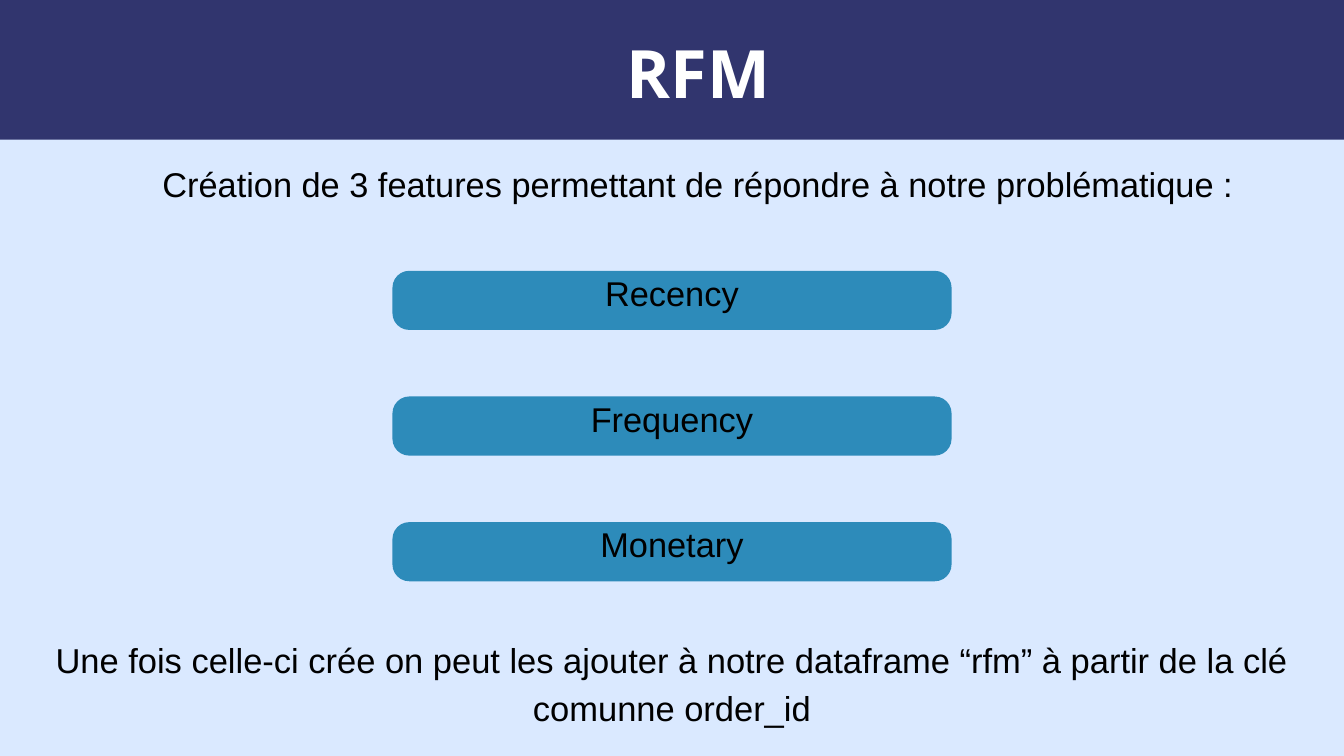
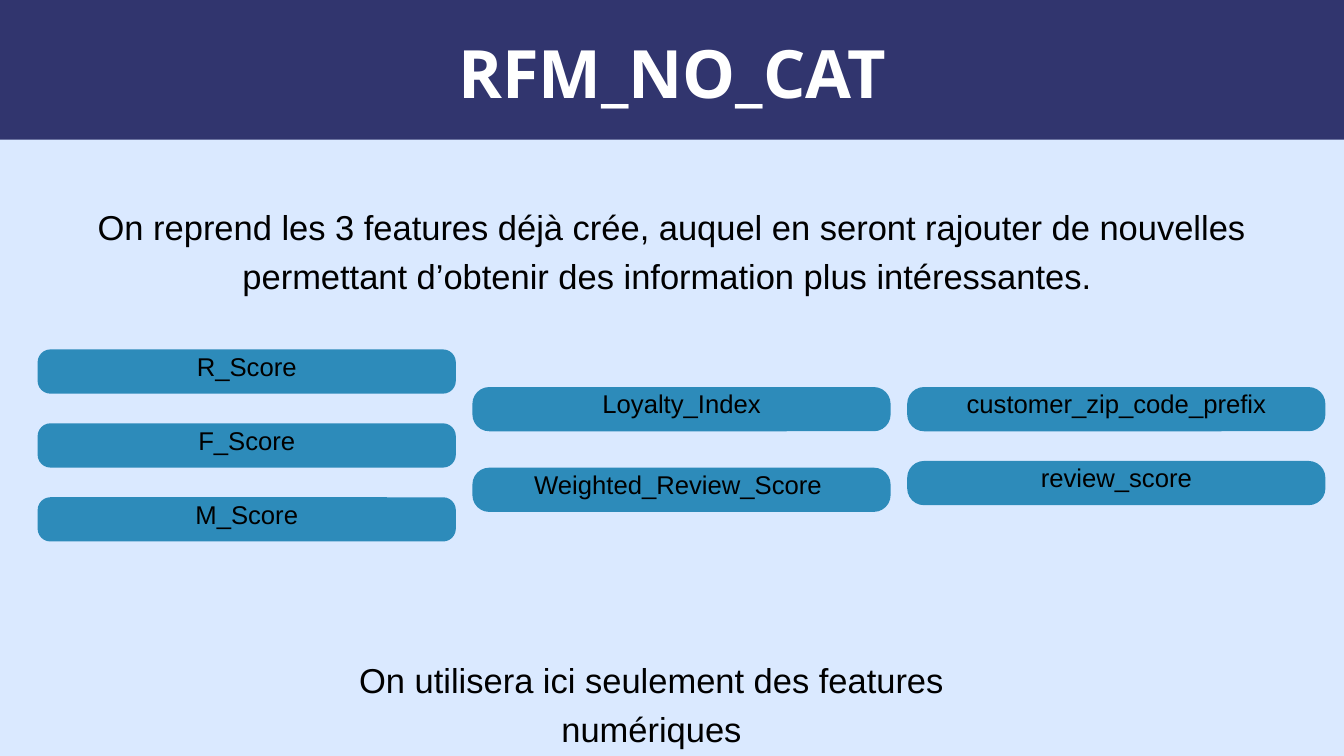
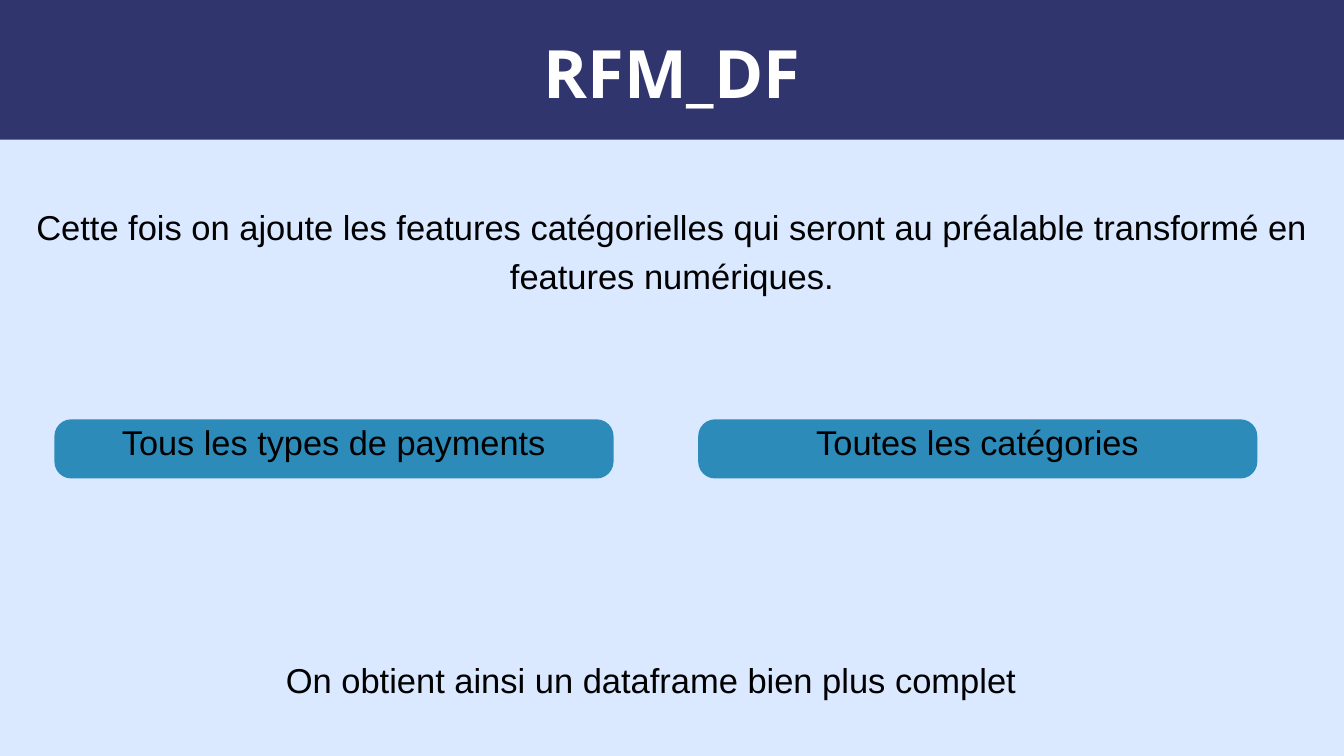
"""Build three slides on the RFM features, each with a title band, texts and pills."""
import pptx
import pptx.util
import pptx.dml.color
import pptx.enum.shapes
import pptx.enum.text

RGB = pptx.dml.color.RGBColor
NAVY = RGB(0x31, 0x35, 0x6E)
PALE = RGB(0xDA, 0xE9, 0xFF)
BLUE = RGB(0x2D, 0x8B, 0xBA)
WHITE = RGB(0xFF, 0xFF, 0xFF)
BLACK = RGB(0x00, 0x00, 0x00)

WIDE, HIGH = 20, 11.25
BAND = (-0.4, -0.68, 21.58, 2.76)
PILL_W, PILL_H = 8.32, 0.88
SMALL = 0.748

SLIDES = [
    {
        "title": ("RFM", (3.96, 12.87)),
        "texts": [
            (["Création de 3 features permettant de répondre à notre problématique :"],
             (2.36, 2.32, 16.07, 0.71), 36.8),
            (["Une fois celle-ci crée on peut les ajouter à notre dataframe “rfm” à partir de la clé comunne order_id"],
             (0, 9.4, WIDE, 1.44), 37),
        ],
        "left": 5.84, "pitch": 0, "scale": 1,
        "cols": [(4.03, 1.87, 0.25, ["Recency", "Frequency", "Monetary"])],
    },
    {
        "title": ("RFM_NO_CAT", (4.16, 11.68)),
        "texts": [
            (["On reprend les 3 features déjà crée, auquel en seront rajouter de nouvelles",
              "permettant d’obtenir des information plus intéressantes. "],
             (1.43, 2.97, 17.14, 1.44), 37),
            (["On utilisera ici seulement des features numériques"],
             (4.68, 9.71, 10.03, 1.39), 37),
        ],
        "left": 0.56, "pitch": 6.47, "scale": SMALL,
        "cols": [
            (5.2, 1.1, 0.19, ["R_Score", "F_Score", "M_Score"]),
            (5.76, 1.2, 0.25, ["Loyalty_Index", "Weighted_Review_Score "]),
            (5.76, 1.1, 0.25, ["customer_zip_code_prefix", "review_score"]),
        ],
    },
    {
        "title": ("RFM_DF", (4.16, 11.68)),
        "texts": [
            (["Cette fois on ajoute les features catégorielles qui seront au préalable transformé en features numériques."],
             (0, 2.97, WIDE, 1.44), 37),
            (["On obtient ainsi un dataframe bien plus complet"],
             (4.24, 9.71, 10.9, 0.72), 37),
        ],
        "left": 0.81, "pitch": 9.58, "scale": 1,
        "cols": [
            (6.24, 0, 0.25, ["Tous les types de payments"]),
            (6.24, 0, 0.25, ["Toutes les catégories"]),
        ],
    },
]


def inches(box):
    """Turn a box in inches into lengths."""
    return [pptx.util.Inches(side) for side in box]


def write(slide, lines, box, size=37, font="Arial", color=BLACK, bold=False, lead=1.4):
    """Add a centred text box with one paragraph for each line."""
    frame = slide.shapes.add_textbox(*inches(box)).text_frame
    frame.word_wrap = True
    frame.margin_left = frame.margin_right = frame.margin_top = frame.margin_bottom = 0
    frame.text = "\n".join(lines)
    for para in frame.paragraphs:
        para.alignment = pptx.enum.text.PP_ALIGN.CENTER
        para.line_spacing = pptx.util.Pt(round(size * lead, 1))
        style = para.runs[0].font
        style.name, style.bold = font, bold
        style.size = pptx.util.Pt(round(size, 1))
        style.color.rgb = color


def block(slide, kind, box, color):
    """Add a plain filled shape."""
    shape = slide.shapes.add_shape(kind, *inches(box))
    shape.shadow.inherit = False
    shape.fill.solid()
    shape.fill.fore_color.rgb = color
    shape.line.fill.background()
    return shape


def pill(slide, label, left, top, scale, radius):
    """Add a rounded bar with its label."""
    wide, high = PILL_W * scale, PILL_H * scale
    kinds = pptx.enum.shapes.MSO_SHAPE
    bar = block(slide, kinds.ROUNDED_RECTANGLE, (left, top, wide, high), BLUE)
    bar.adjustments[0] = radius / high
    inset, lift = 0.26 * scale, 0.08 * scale
    box = (left + inset, top - lift, wide - 2 * inset, 0.68 * scale)
    write(slide, [label], box, size=36.8 * scale)


def build(deck, page):
    """Add one slide."""
    slide = deck.slides.add_slide(deck.slide_layouts[6])
    slide.background.fill.solid()
    slide.background.fill.fore_color.rgb = PALE
    block(slide, pptx.enum.shapes.MSO_SHAPE.RECTANGLE, BAND, NAVY)
    title, (left, wide) = page["title"]
    write(slide, [title], (left, 0.71, wide, 1.01), size=71.4,
          font="Open Sans", color=WHITE, bold=True, lead=0.96)
    for lines, box, size in page["texts"]:
        write(slide, lines, box, size=size)
    for col, (top, step, radius, labels) in enumerate(page["cols"]):
        left = page["left"] + col * page["pitch"]
        for row, label in enumerate(labels):
            pill(slide, label, left, top + row * step, page["scale"], radius)


def main():
    """Build and save the deck."""
    deck = pptx.Presentation()
    deck.slide_width, deck.slide_height = inches((WIDE, HIGH))
    for page in SLIDES:
        build(deck, page)
    deck.save("out.pptx")


if __name__ == "__main__":
    main()
